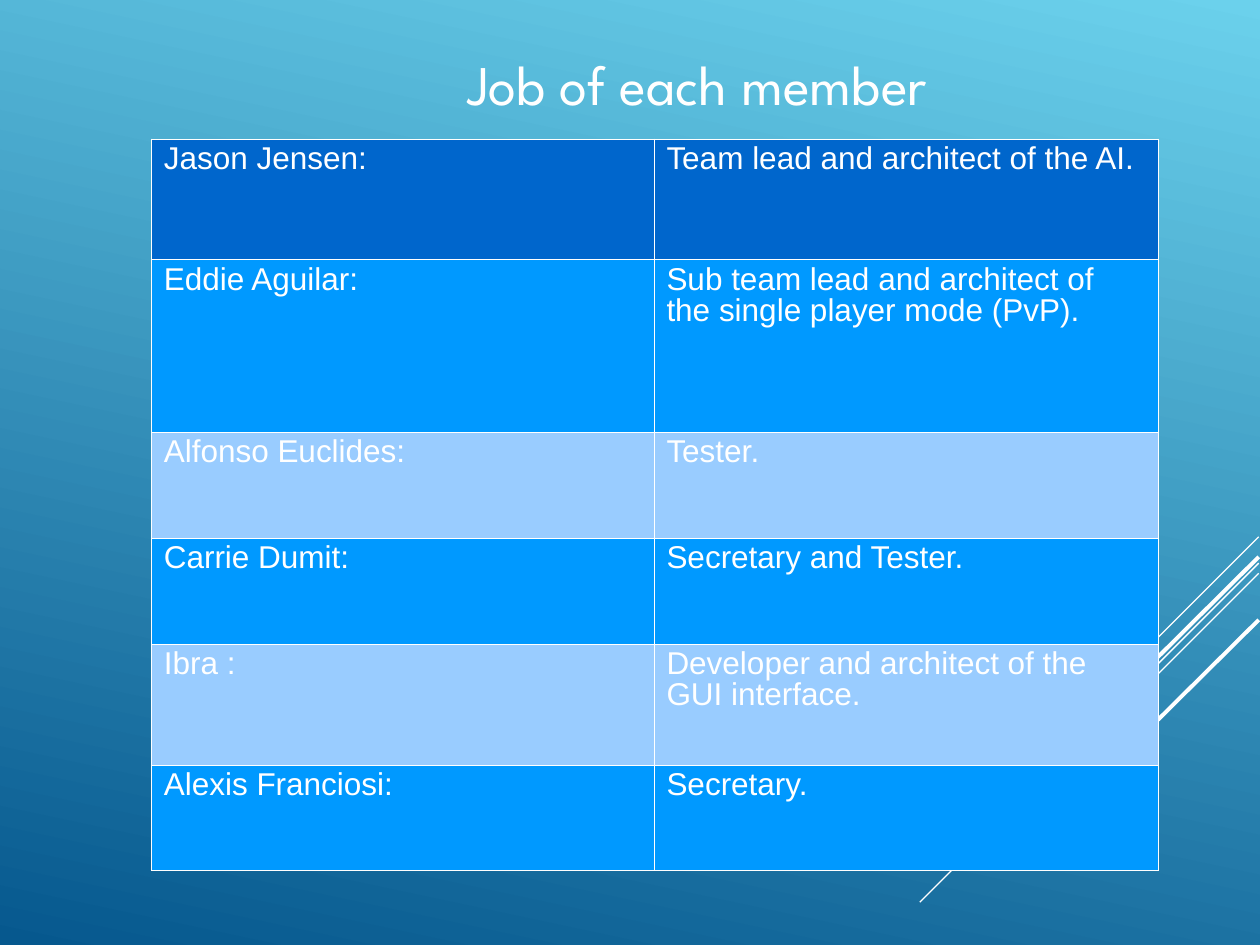
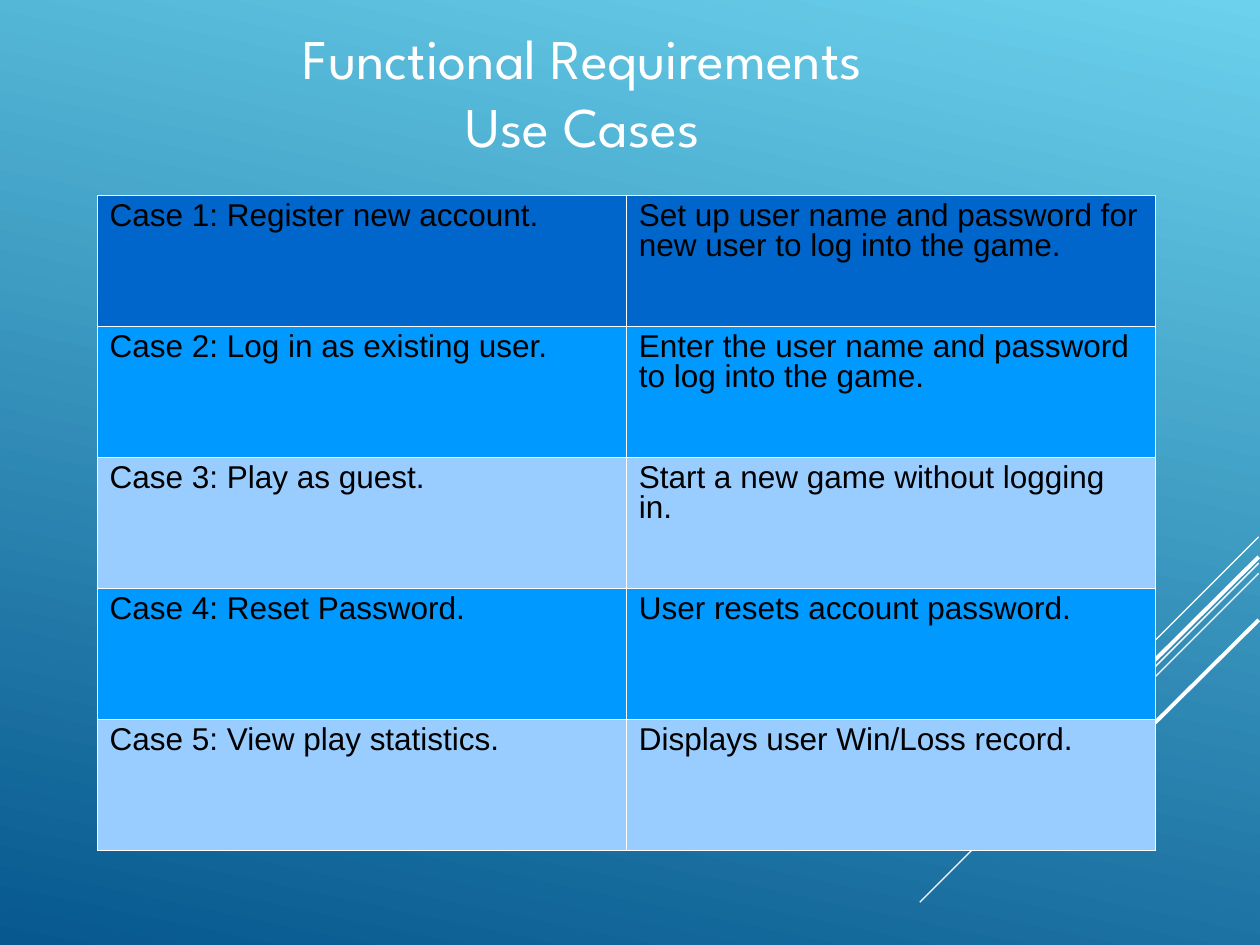
from lxml import etree
from pptx import Presentation
from pptx.dml.color import RGBColor
from pptx.enum import shapes, text
from pptx.oxml import ns
from pptx.util import Inches, Pt

# Content
SLIDES = [
    dict(
        title="Job of each member", box=(1.2, 0.34), indent=1.5,
        table=(1.2, 1.1), cols=[3.99, 4], ink="white",
        heights=[0.96, 1.37, 0.84, 0.84, 0.96, 0.84],
        rows=[
            ("Jason Jensen:", "Team lead and architect of the AI."),
            ("Eddie Aguilar:",
             "Sub team lead and architect of the single player mode (PvP)."),
            ("Alfonso Euclides:", "Tester."),
            ("Carrie Dumit:", "Secretary and Tester."),
            ("Ibra :", "Developer and architect of the GUI interface."),
            ("Alexis Franciosi:", "Secretary."),
        ]),
    dict(
        title="Functional Requirements\nUse Cases", box=(1.04, 0.14), indent=0,
        table=(0.77, 1.55), cols=[4.2, 4.2], ink="black",
        heights=[1.04] * 5,
        rows=[
            ("Case 1: Register new account.",
             "Set up user name and password for new user to log into the game."),
            ("Case 2: Log in as existing user.",
             "Enter the user name and password to log into the game."),
            ("Case 3: Play as guest.", "Start a new game without logging in."),
            ("Case 4: Reset Password.", "User resets account password."),
            ("Case 5: View play statistics.", "Displays user Win/Loss record."),
        ]),
]

# Shared look
COLORS = dict(sky="6BD1EC", sea="06588E", head="0066CC", mid="0099FF",
              pale="99CCFF", white="FFFFFF", black="000000")
RIGHT = 9.99
RAYS = [  # start y, end x, end y, weight
    (4.26, 9.17, 5.08, 0.75),
    (4.47, 7.3, 7.16, 0.75),
    (4.55, 8.27, 6.27, 0.75),
    (4.42, 8.41, 5.99, 2.25),
    (4.92, 8.84, 6.06, 2.25),
]
TITLE_SIZE = (7.17, 1.67)
BORDER = Pt(0.06)


def rgb(name):
    return RGBColor.from_string(COLORS[name])


def style(para, face, size, ink):
    para.font.name = face
    para.font.size = Pt(size)
    para.font.color.rgb = rgb(ink)


def add_back(slide):
    fill = slide.background.fill
    fill.gradient()
    fill.gradient_angle = 360 - 102
    for stop, name in zip(fill.gradient_stops, ("sky", "sea")):
        stop.color.rgb = rgb(name)
    for top, x, y, weight in RAYS:
        ray = slide.shapes.add_connector(
            shapes.MSO_CONNECTOR.STRAIGHT,
            *map(Inches, (RIGHT, top, x, y)))
        ray.line.color.rgb = rgb("white")
        ray.line.width = Pt(weight)
        etree.SubElement(ray._element.spPr, ns.qn("a:effectLst"))


def add_title(slide, words, box, indent):
    frame = slide.shapes.add_textbox(*map(Inches, box + TITLE_SIZE)).text_frame
    frame.word_wrap = True
    frame.margin_left = Inches(0.1 + indent)
    para = frame.paragraphs[0]
    para.text = words
    para.alignment = text.PP_ALIGN.CENTER
    style(para, "League Spartan", 32, "white")


def add_border(cell):
    props = cell._tc.get_or_add_tcPr()
    for side in ("lnL", "lnR", "lnT", "lnB"):
        line = etree.SubElement(props, ns.qn("a:" + side), w=str(int(BORDER)))
        solid = etree.SubElement(line, ns.qn("a:solidFill"))
        etree.SubElement(solid, ns.qn("a:srgbClr"), val=COLORS["white"])


def add_grid(slide, rows, place, cols, heights, ink):
    size = (sum(cols), sum(heights))
    table = slide.shapes.add_table(
        len(rows), len(cols), *map(Inches, place + size)).table
    table.first_row = table.horz_banding = False
    for col, width in zip(table.columns, cols):
        col.width = Inches(width)
    for r, row in enumerate(rows):
        table.rows[r].height = Inches(heights[r])
        # Header first, then alternating bands
        band = "head" if r == 0 else "mid" if r % 2 else "pale"
        for c, words in enumerate(row):
            cell = table.cell(r, c)
            add_border(cell)
            cell.fill.solid()
            cell.fill.fore_color.rgb = rgb(band)
            para = cell.text_frame.paragraphs[0]
            para.text = words
            para.line_spacing = 0.87
            style(para, "Arial", 18, ink)


def main():
    deck = Presentation()
    deck.slide_width, deck.slide_height = Inches(10), Inches(7.5)
    for item in SLIDES:
        slide = deck.slides.add_slide(deck.slide_layouts[6])
        add_back(slide)
        add_title(slide, item["title"], item["box"], item["indent"])
        add_grid(slide, item["rows"], item["table"], item["cols"],
                 item["heights"], item["ink"])
    deck.save("out.pptx")


if __name__ == "__main__":
    main()
